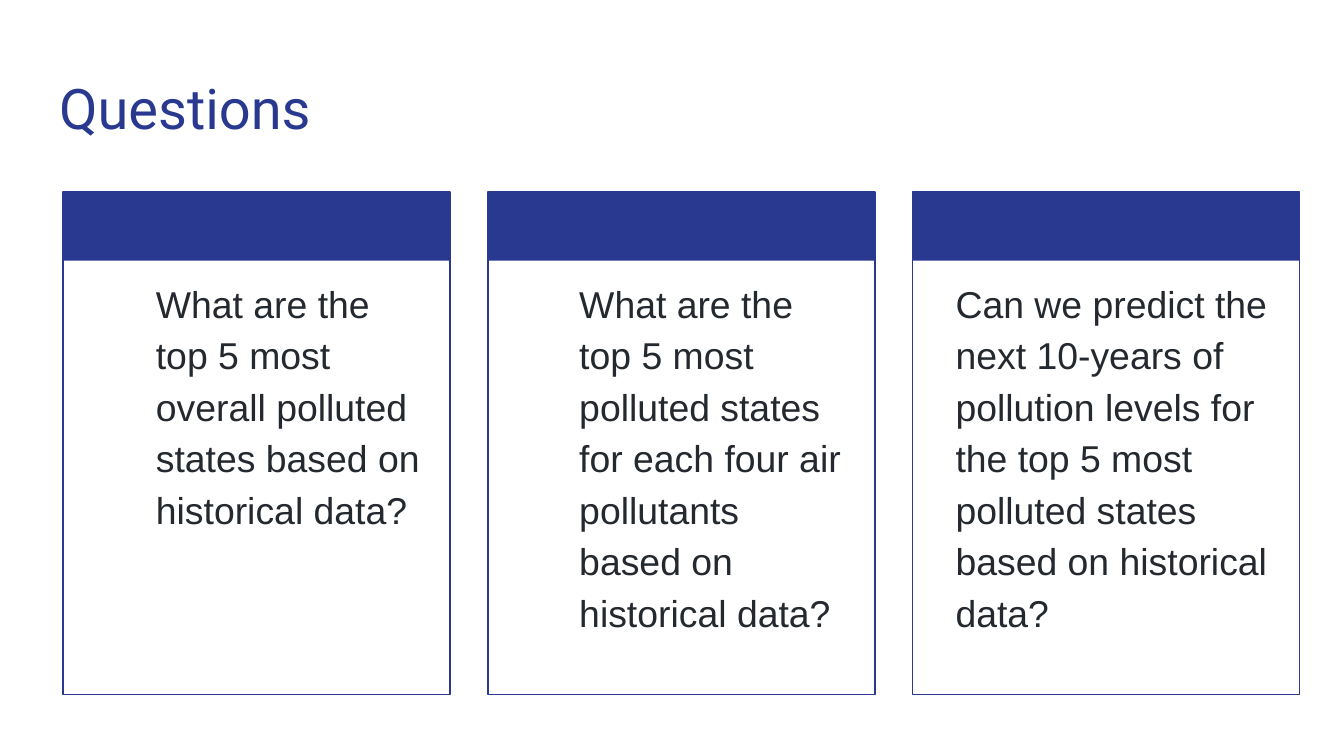
from dataclasses import dataclass
from typing import Any

from pptx import Presentation
from pptx import util as u
from pptx.dml.color import RGBColor
from pptx.enum import shapes, text
from pptx.oxml.xmlchemy import OxmlElement


@dataclass(frozen=True)
class Theme:
    accent: RGBColor = RGBColor(0x2A, 0x39, 0x90)
    ink: RGBColor = RGBColor(0x24, 0x29, 0x2F)
    title_font: str = "Roboto"
    body_font: str = "Arial"
    title_size: int = 30
    body_size: int = 20
    line_width: float = 0.75


@dataclass(frozen=True)
class Box:
    left: float
    top: float
    width: float
    height: float

    def lengths(self) -> tuple:
        return tuple(u.Inches(v) for v in (self.left, self.top, self.width, self.height))


@dataclass(frozen=True)
class Card:
    question: str
    text_box: Box
    space_before: int


THEME = Theme()
CARD_LEFT, CARD_TOP, CARD_STEP = 0.47, 1.43, 3.16
CARD_WIDTH, CARD_HEIGHT, HEADER_HEIGHT = 2.88, 3.74, 0.51

CARDS = [
    Card("What are the top 5 most overall polluted states based on historical data?",
         Box(0.56, 1.94, 2.71, 3.14), 0),
    Card("What are the top 5 most polluted states for each four air pollutants "
         "based on historical data?",
         Box(3.71, 1.94, 2.71, 3.14), 3),
    Card("Can we predict the next 10-years of pollution levels for the top 5 most "
         "polluted states based on historical data?",
         Box(6.51, 1.94, 3.08, 3.22), 3),
]


def set_all(target: Any, values: dict[str, Any]) -> None:
    for name, value in values.items():
        setattr(target, name, value)


def fill_placeholder(holder: Any, box: Box, words: str, font: dict[str, Any],
                     line_spacing: float = 1.0, space_before: int = 0,
                     indent: float = 0) -> None:
    """Place a placeholder and set its single left-aligned paragraph."""
    set_all(holder, dict(zip(("left", "top", "width", "height"), box.lengths())))
    frame = holder.text_frame
    set_all(frame, {
        "word_wrap": True,
        "auto_size": text.MSO_AUTO_SIZE.NONE,
        "vertical_anchor": text.MSO_ANCHOR.TOP,
        **{f"margin_{side}": u.Inches(0.1) for side in ("left", "top", "right", "bottom")},
    })
    para = frame.paragraphs[0]
    set_all(para, {"alignment": text.PP_ALIGN.LEFT, "line_spacing": line_spacing,
                   "space_before": u.Pt(space_before)})
    # Indent without a bullet
    properties = para._p.get_or_add_pPr()
    properties.set("marL", str(u.Inches(indent)))
    properties.set("indent", "0")
    properties.append(OxmlElement("a:buNone"))
    span = para.add_run()
    span.text = words
    span.font.color.rgb = font["color"]
    set_all(span.font, {"name": font["name"], "size": u.Pt(font["size"]), "bold": False})


def draw_card(page: Any, left: float) -> None:
    """Draw the header band and the outline as one group."""
    group = page.shapes.add_group_shape()
    header, outline = (
        group.shapes.add_shape(shapes.MSO_SHAPE.RECTANGLE,
                               *Box(left, CARD_TOP, CARD_WIDTH, height).lengths())
        for height in (HEADER_HEIGHT, CARD_HEIGHT)
    )
    header.shadow.inherit = outline.shadow.inherit = False
    header.fill.solid()
    header.fill.fore_color.rgb = THEME.accent
    header.line.fill.background()
    outline.fill.background()
    outline.line.color.rgb = THEME.accent
    outline.line.width = u.Pt(THEME.line_width)


def main() -> None:
    deck = Presentation()
    # Widescreen, 16:9
    width = u.Inches(10)
    set_all(deck, {"slide_width": width, "slide_height": width * 9 // 16})
    # The comparison layout offers a title and four bodies; three are used
    page = deck.slides.add_slide(deck.slide_layouts.get_by_name("Comparison"))
    title, *bodies = page.placeholders
    spare = bodies.pop()
    spare.element.getparent().remove(spare.element)

    # Title
    fill_placeholder(title, Box(0.34, 0.45, 9.32, 0.66), "Questions",
                     {"name": THEME.title_font, "size": THEME.title_size,
                      "color": THEME.accent})

    # Question cards
    body_font = {"name": THEME.body_font, "size": THEME.body_size, "color": THEME.ink}
    for index, (card, body) in enumerate(zip(CARDS, bodies)):
        draw_card(page, CARD_LEFT + index * CARD_STEP)
        fill_placeholder(body, card.text_box, card.question, body_font,
                         line_spacing=1.15, space_before=card.space_before, indent=0.5)

    deck.save("out.pptx")


if __name__ == "__main__":
    main()
